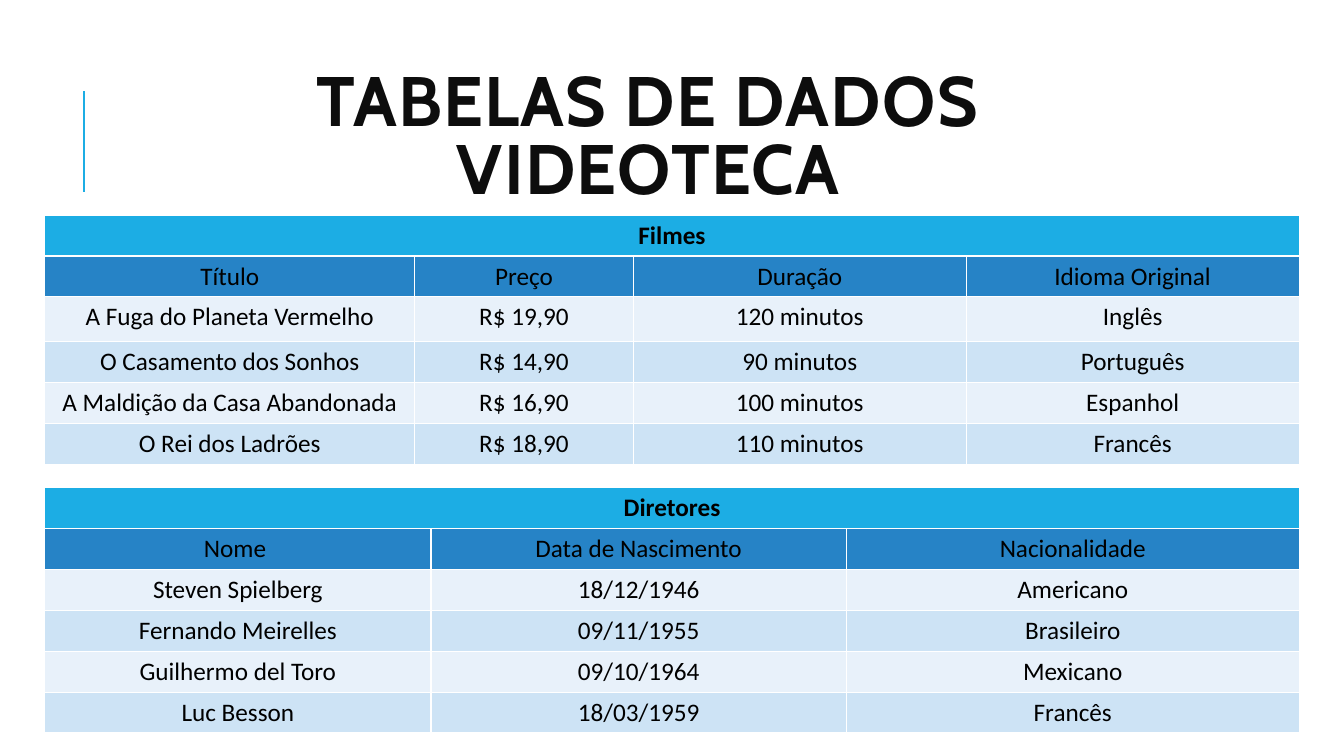
from lxml import etree
from pptx import Presentation
from pptx.dml.color import RGBColor
from pptx.enum import shapes, text
from pptx.oxml.ns import qn
from pptx.util import Cm, Pt

ACCENT = "1CADE4"
HEADING_FILL = "2683C6"
BAND_FILLS = ["E8F1FA", "CDE3F5"]
TABLE_LEFT = 1.13
ROW_HEIGHT = 1.03

FILMS = [
    ["Título", "Preço", "Duração", "Idioma Original"],
    ["A Fuga do Planeta Vermelho", "R$ 19,90", "120 minutos", "Inglês"],
    ["O Casamento dos Sonhos", "R$ 14,90", "90 minutos", "Português"],
    ["A Maldição da Casa Abandonada", "R$ 16,90", "100 minutos", "Espanhol"],
    ["O Rei dos Ladrões", "R$ 18,90", "110 minutos", "Francês"],
]
DIRECTORS = [
    ["Nome ", "Data de Nascimento", "Nacionalidade"],
    ["Steven Spielberg", "18/12/1946", "Americano"],
    ["Fernando Meirelles", "09/11/1955", "Brasileiro"],
    ["Guilhermo del Toro", "09/10/1964", "Mexicano"],
    ["Luc Besson", "18/03/1959", "Francês"],
]


def colour(value):
    return RGBColor.from_string(value)


def format_paragraph(paragraph, font_name, size, font_colour, bold):
    paragraph.alignment = text.PP_ALIGN.CENTER
    font = paragraph.font
    font.name = font_name
    font.size = Pt(size)
    font.bold = bold
    font.color.rgb = colour(font_colour)


def set_title(slide, wording):
    title = slide.shapes.title
    title.left, title.top, title.width, title.height = Cm(2.84), Cm(1.45), Cm(27), Cm(4.17)
    frame = title.text_frame
    frame.text = wording
    frame.word_wrap = True
    frame.auto_size = text.MSO_AUTO_SIZE.NONE
    frame.vertical_anchor = text.MSO_ANCHOR.MIDDLE
    paragraph = frame.paragraphs[0]
    format_paragraph(paragraph, "Cabin", 50, "0D0D0D", True)
    paragraph.line_spacing = 0.8
    for run in paragraph.runs:
        run.font._element.set("spc", "100")


def add_accent_line(slide):
    line = slide.shapes.add_connector(
        shapes.MSO_CONNECTOR.STRAIGHT, Cm(2.12), Cm(4.83), Cm(2.12), Cm(2.29))
    line.line.color.rgb = colour(ACCENT)
    line.line.width = Pt(1.5)
    etree.SubElement(line._element.spPr, qn("a:effectLst"))


def fill_cell(cell, wording, fill, bold=False):
    cell.fill.solid()
    cell.fill.fore_color.rgb = colour(fill)
    cell.text = wording
    format_paragraph(cell.text_frame.paragraphs[0], "Calibri", 18, "000000", bold)


def add_data_table(slide, top, name, rows, widths):
    """Add a table with a merged name row, a heading row and banded data rows."""
    frame = slide.shapes.add_table(
        len(rows) + 1, len(widths), Cm(TABLE_LEFT), Cm(top),
        Cm(sum(widths)), Cm(ROW_HEIGHT * (len(rows) + 1)))
    table = frame.table
    for column, width in zip(table.columns, widths):
        column.width = Cm(width)
    for row in table.rows:
        row.height = Cm(ROW_HEIGHT)

    table.cell(0, 0).merge(table.cell(0, len(widths) - 1))
    fill_cell(table.cell(0, 0), name, ACCENT, bold=True)
    for row_index, row in enumerate(rows):
        fill = BAND_FILLS[(row_index - 1) % 2] if row_index else HEADING_FILL
        for column_index, wording in enumerate(row):
            fill_cell(table.cell(row_index + 1, column_index), wording, fill)
    return table


def main():
    presentation = Presentation()
    presentation.slide_width, presentation.slide_height = Cm(33.87), Cm(19.05)
    slide = presentation.slides.add_slide(presentation.slide_layouts[5])

    add_accent_line(slide)
    set_title(slide, "TABELAS DE DADOS\vVIDEOTECA")
    films = add_data_table(slide, 5.42, "Filmes", FILMS, [9.32, 5.51, 8.39, 8.39])
    films.rows[2].height = Cm(1.13)
    add_data_table(slide, 12.29, "Diretores", DIRECTORS, [9.73, 10.47, 11.41])

    presentation.save("out.pptx")


if __name__ == "__main__":
    main()
